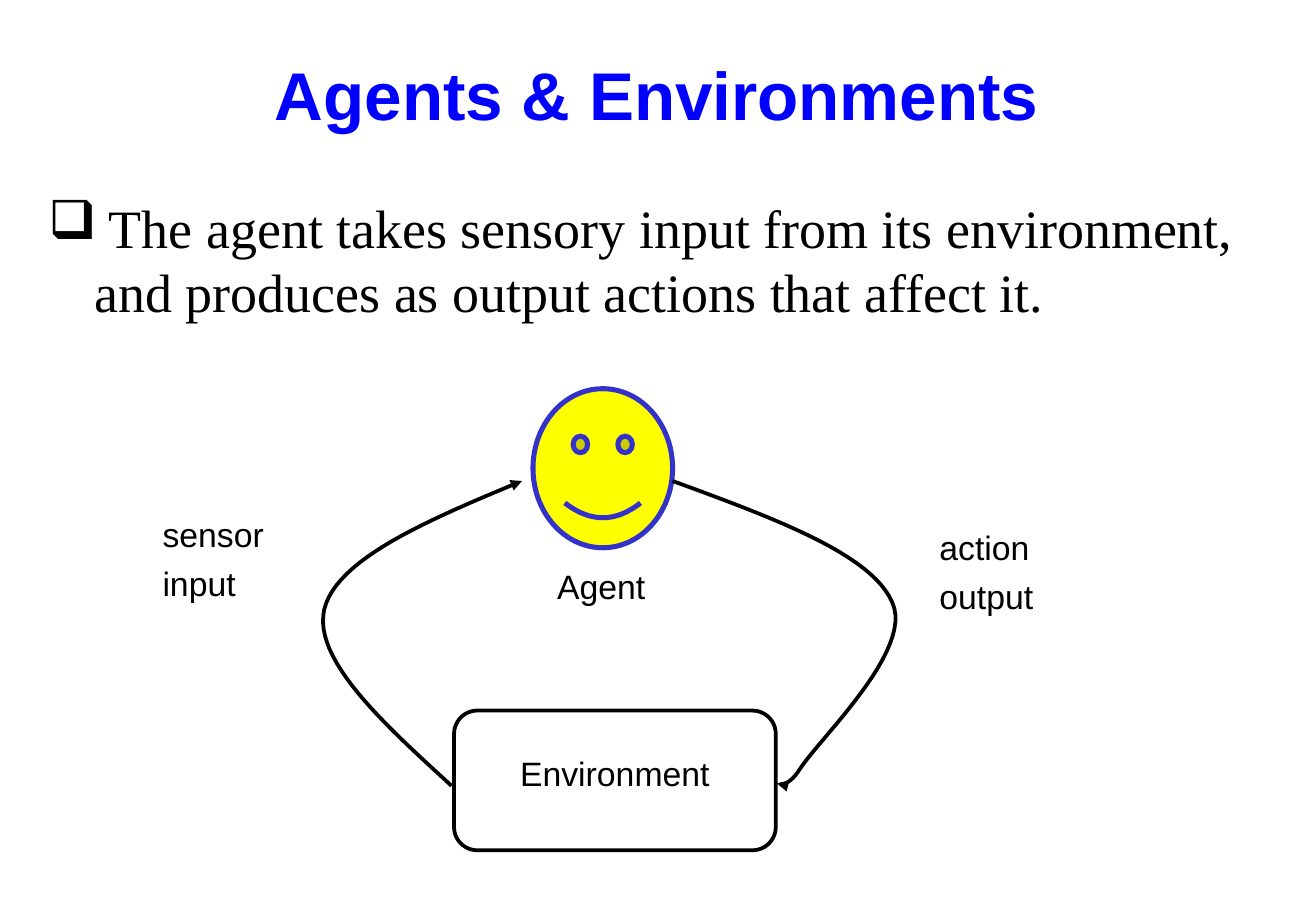
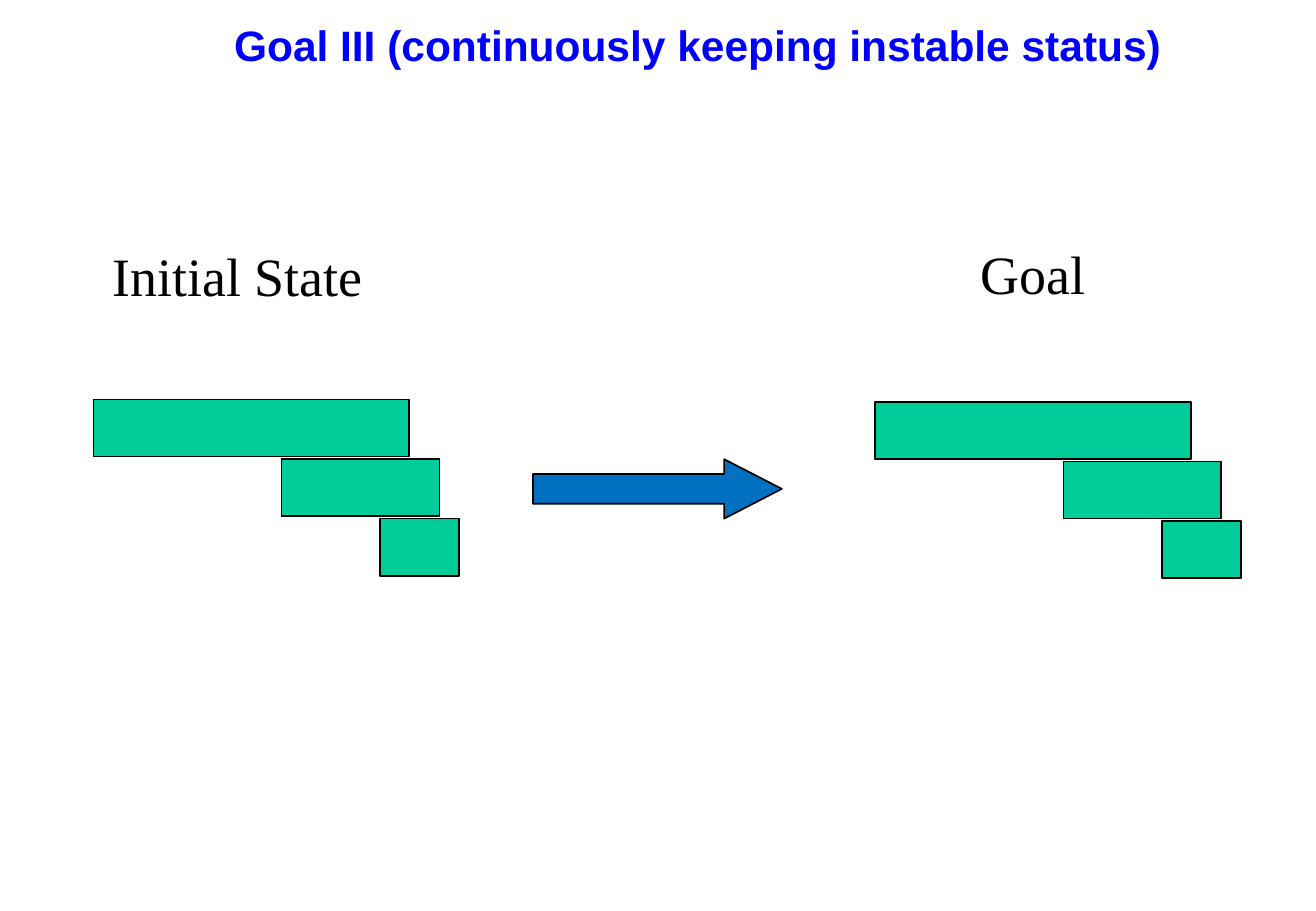
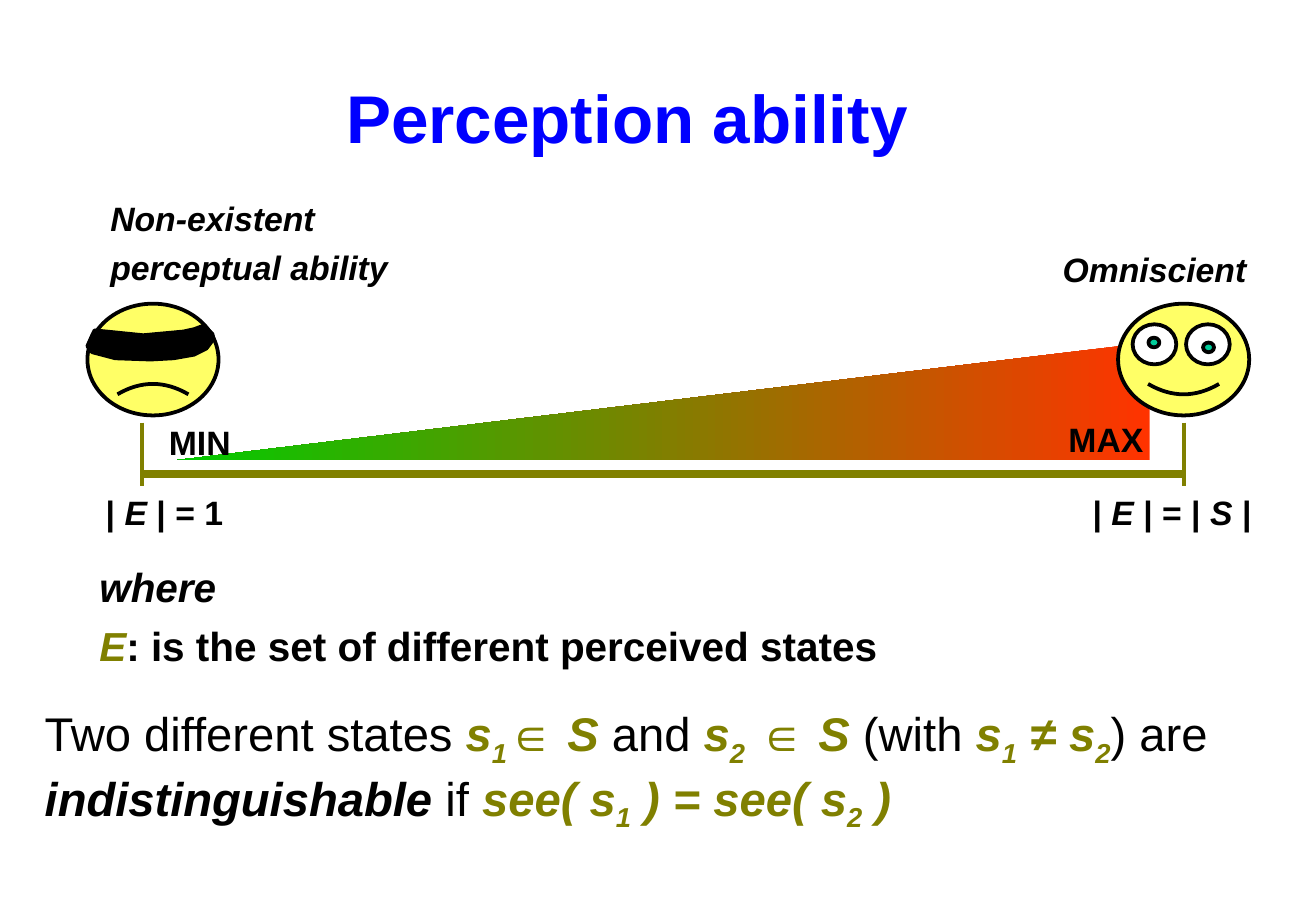
from lxml.etree import SubElement
from pptx import Presentation
from pptx.dml.color import RGBColor
from pptx.enum.shapes import MSO_CONNECTOR, MSO_SHAPE
from pptx.enum.text import MSO_ANCHOR, PP_ALIGN
from pptx.oxml.ns import qn
from pptx.util import Pt

PX = 9144  # 100 px to the inch
COLORS = {name: RGBColor.from_string(value) for name, value in {
    "black": "000000", "white": "FFFFFF", "title": "0000FF", "olive": "808000",
    "yellow": "FFFF00", "pale": "FFFF66", "indigo": "3333CC", "teal": "00CC99",
    "arrow": "0070C0", "green": "00CC00", "red": "FF3300"}.items()}
TITLE = {"size": 40, "color": "title", "style": "b", "align": PP_ALIGN.CENTER}
SERIF = {"size": 32, "font": "Times New Roman", "wrap": True}


def add_text(page, at, paras, size=20, font="Arial", color="black", style="",
             align=PP_ALIGN.LEFT, before=5, wrap=False, spacing=None, bullet=None):
    """Add a text box. A paragraph is a string, or a list of (text, style) runs
    whose style letters mean b bold, i italic, o olive, s subscript."""
    box = page.shapes.add_textbox(*(value * PX for value in at))
    frame = box.text_frame
    frame.word_wrap = wrap
    for index, content in enumerate(paras):
        para = frame.paragraphs[0] if index == 0 else frame.add_paragraph()
        para.alignment = align
        if index:
            para.space_before = Pt(before)
        if spacing:
            para.line_spacing = spacing
        if bullet:
            properties = para._p.get_or_add_pPr()
            properties.set("marL", str(38 * PX))
            properties.set("indent", str(-38 * PX))
            SubElement(properties, qn("a:buChar")).set("char", bullet)
        para.font.name, para.font.size = font, Pt(size)
        if isinstance(content, str):
            para.font.color.rgb = COLORS[color]
            para.font.bold, para.font.italic = "b" in style, "i" in style
            para.add_run().text = content
            continue
        for text, letters in content:
            span = para.add_run()
            span.text = text
            span.font.bold, span.font.italic = "b" in letters, "i" in letters
            span.font.color.rgb = COLORS["olive" if "o" in letters else color]
            if "s" in letters:
                span.font._element.set("baseline", "-25000")


def add_shape(page, kind, at, fill, line="black", weight=2.25):
    shape = page.shapes.add_shape(kind, *(value * PX for value in at))
    shape.shadow.inherit = False
    shape.fill.solid()
    shape.fill.fore_color.rgb = COLORS[fill]
    shape.line.color.rgb = COLORS[line]
    shape.line.width = Pt(weight)
    return shape


deck = Presentation()
deck.slide_width, deck.slide_height = 1084 * PX, 750 * PX
agents, goal, perception = (deck.slides.add_slide(deck.slide_layouts[6]) for _ in range(3))

# Slide 1: agent and environment loop
add_text(agents, (116, 39, 850, 74), ["Agents & Environments"], **TITLE)
add_text(agents, (30, 155, 1024, 133),
         [" The agent takes sensory input from its environment, "
          "and produces as output actions that affect it."], bullet="❑", **SERIF)
face = add_shape(agents, MSO_SHAPE.SMILEY_FACE, (439, 320, 115, 131), "yellow", "indigo", 3)
face.adjustments[0] = 0.09

environment = add_shape(agents, MSO_SHAPE.ROUNDED_RECTANGLE, (374, 585, 265, 115), "white")
frame = environment.text_frame
frame.vertical_anchor = MSO_ANCHOR.MIDDLE
frame.margin_bottom = 17 * PX
para = frame.paragraphs[0]
para.alignment = PP_ALIGN.CENTER
para.font.name, para.font.size = "Arial", Pt(20)
para.font.color.rgb = COLORS["black"]
para.add_run().text = "Environment"

# Each arrow: a start, then Bézier pieces as two handles and an end
STEPS = 24
action_arrow = ((554, 396), [((636, 426), (718, 456), (735, 496)),
                             ((753, 535), (675, 608), (659, 633)),
                             ((643, 658), (633, 637), (640, 645))])
sensor_arrow = ((372, 647), [((315, 595), (258, 543), (267, 502)),
                             ((277, 460), (353, 428), (430, 396))])
for start, pieces in (action_arrow, sensor_arrow):
    points = [start]
    for handle_1, handle_2, end in pieces:
        anchors = (points[-1], handle_1, handle_2, end)
        for step in range(1, STEPS + 1):
            t = step / STEPS
            weights = ((1 - t) ** 3, 3 * t * (1 - t) ** 2, 3 * t ** 2 * (1 - t), t ** 3)
            points.append(tuple(sum(w * anchor[axis] for w, anchor in zip(weights, anchors))
                                for axis in (0, 1)))
    builder = agents.shapes.build_freeform(start[0] * PX, start[1] * PX)
    builder.add_line_segments([(x * PX, y * PX) for x, y in points[1:]], close=False)
    curve = builder.convert_to_shape()
    curve.shadow.inherit = False
    curve.fill.background()
    curve.line.color.rgb = COLORS["black"]
    curve.line.width = Pt(2.25)
    SubElement(curve.line._get_or_add_ln(), qn("a:tailEnd")).set("type", "triangle")

for at, lines in (((124, 418, 111, 84), ["sensor", "input"]),
                  ((764, 429, 102, 84), ["action", "output"]),
                  ((449, 461, 93, 44), ["Agent"])):
    add_text(agents, at, lines)

# Slide 2: the same stack of blocks before and after
add_text(goal, (158, 19, 834, 83), ["Goal III (continuously keeping instable status)"],
         **{**TITLE, "size": 25.2, "spacing": 0.8, "wrap": True})
for left, top, label, label_left, label_top in ((77, 329, "Initial State", 66, 195),
                                                (721, 331, "Goal", 721, 193)):
    add_text(goal, (label_left, label_top, 260, 64), [label], align=PP_ALIGN.CENTER, **SERIF)
    for row, (offset, width) in enumerate(((0, 260), (155, 130), (236, 65))):
        add_shape(goal, MSO_SHAPE.RECTANGLE, (left + offset, top + row * 49, width, 47),
                  "teal", weight=1)
arrow = add_shape(goal, MSO_SHAPE.RIGHT_ARROW, (439, 378, 205, 49), "arrow", weight=1)
arrow.adjustments[1] = 0.97

# Slide 3: scale of perception
wedge = add_shape(perception, MSO_SHAPE.RIGHT_TRIANGLE, (144, 282, 803, 97), "red")
wedge._element.spPr.find(qn("a:xfrm")).set("flipH", "1")
wedge.line.fill.background()
wedge.fill.gradient()
wedge.fill.gradient_angle = 0
for stop, name in zip(wedge.fill.gradient_stops, ("red", "green")):
    stop.color.rgb = COLORS[name]

add_text(perception, (158, 58, 717, 74), ["Perception ability"], **TITLE)
for x1, y1, x2, y2, weight in ((117, 390, 975, 390, 4.5),
                               (975, 348, 975, 400, 2.25),
                               (117, 348, 117, 400, 2.25)):
    rule = perception.shapes.add_connector(MSO_CONNECTOR.STRAIGHT,
                                           x1 * PX, y1 * PX, x2 * PX, y2 * PX)
    rule.line.color.rgb = COLORS["olive"]
    rule.line.width = Pt(weight)
    SubElement(rule._element.spPr, qn("a:effectLst"))

for left, smile in ((72, -0.05), (921, 0.09)):
    face = add_shape(perception, MSO_SHAPE.SMILEY_FACE, (left, 250, 108, 92), "pale")
    face.adjustments[0] = smile
for at, fill in (((933, 267, 36, 33), "white"), ((977, 267, 36, 33), "white"),
                 ((946, 278, 9, 8), "teal"), ((991, 282, 9, 8), "teal")):
    add_shape(perception, MSO_SHAPE.OVAL, at, fill)

builder = perception.shapes.build_freeform(78, 272, scale=PX)
builder.add_line_segments([(118, 276), (151, 273), (160, 271), (168, 268), (175, 275),
                           (176, 279), (170, 287), (160, 292), (143, 295), (124, 296),
                           (95, 295), (76, 290), (72, 285), (76, 276)])
blindfold = builder.convert_to_shape()
blindfold.shadow.inherit = False
blindfold.fill.solid()
blindfold.fill.fore_color.rgb = blindfold.line.color.rgb = COLORS["black"]
blindfold.line.width = Pt(2.25)

for at, content, style in (
        ((124, 342, 81, 44), "MIN", "b"),
        ((865, 340, 92, 44), "MAX", "b"),
        ((850, 200, 202, 44), "Omniscient", "bi"),
        ((72, 400, 127, 44), [("| ", "b"), ("E", "bi"), (" | = 1", "b")], ""),
        ((880, 400, 171, 44),
         [("| ", "b"), ("E", "bi"), (" | = | ", "b"), ("S", "bi"), (" |", "b")], "")):
    add_text(perception, at, [content], style=style, align=PP_ALIGN.CENTER)
add_text(perception, (81, 158, 249, 84), ["Non-existent", "perceptual ability"], style="bi")
add_text(perception, (72, 458, 670, 99),
         [[("where", "bi")],
          [("E", "bio"), (": is the set of different perceived states", "b")]],
         size=24, before=6)
add_text(perception, (27, 575, 1056, 116), [[
    ("Two different states ", ""), ("s", "bio"), ("1", "bios"), ("∈", "o"), (" S", "bio"),
    (" and ", ""), ("s", "bio"), ("2", "bios"), (" ∈", "o"), (" S ", "bio"),
    ("(with ", ""), ("s", "bio"), ("1", "bios"), (" ≠ s", "bio"), ("2", "bios"),
    (") are ", ""), ("indistinguishable", "bi"), (" if ", ""),
    ("see( s", "bio"), ("1", "bios"), (" ) = see( s", "bio"), ("2", "bios"), (" )", "bio"),
]], size=28, wrap=True)

deck.save("out.pptx")
